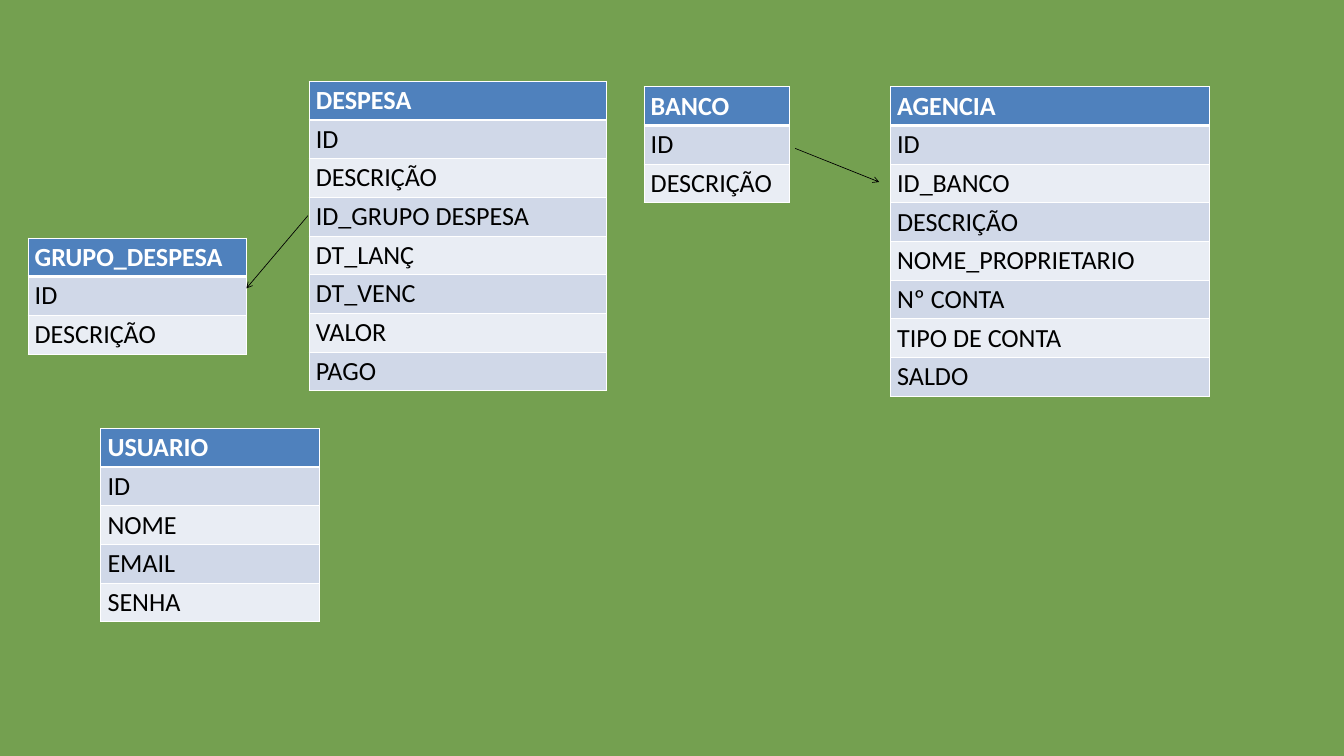
"""Draw the entity tables of an expense database and the links between them."""
from dataclasses import dataclass

import pptx
import pptx.dml.color
import pptx.enum.shapes
import pptx.oxml
import pptx.oxml.ns
import pptx.util

WIDE, HIGH = pptx.util.Inches(20), pptx.util.Inches(11.25)
COLS, ROWS = 240, 135
ROW = 6.8
INK = {"back": "74A050", "head": "4F81BD", "odd": "D0D8E8", "even": "E9EDF4",
       "edge": "FFFFFF", "text": "000000"}
FONT = {"name": "Calibri", "size": pptx.util.Pt(28)}


@dataclass(frozen=True)
class Entity:
    col: float
    row: float
    wide: float
    names: tuple[str, ...]


@dataclass(frozen=True)
class Link:
    start: tuple[float, float]
    end: tuple[float, float]


ITEMS = (
    Entity(115, 15.5, 26, ("BANCO", "ID", "DESCRIÇÃO")),
    Entity(55.2, 14.5, 53, ("DESPESA", "ID", "DESCRIÇÃO", "ID_GRUPO DESPESA",
                            "DT_LANÇ", "DT_VENC", "VALOR", "PAGO")),
    Entity(5, 42.5, 39, ("GRUPO_DESPESA", "ID", "DESCRIÇÃO")),
    Link((55, 38.5), (44, 51.5)),
    Entity(159, 15.5, 57, ("AGENCIA", "ID", "ID_BANCO", "DESCRIÇÃO",
                           "NOME_PROPRIETARIO", "Nº CONTA", "TIPO DE CONTA", "SALDO")),
    Link((142, 26.5), (157, 32.5)),
    Entity(18, 76.5, 39, ("USUARIO", "ID", "NOME", "EMAIL", "SENHA")),
)


def across(col: float) -> int:
    return round(WIDE * col / COLS)


def down(row: float) -> int:
    return round(HIGH * row / ROWS)


def tint(name: str) -> pptx.dml.color.RGBColor:
    return pptx.dml.color.RGBColor.from_string(INK[name])


def edge(cell, sides: dict[str, float]) -> None:
    props = cell._tc.get_or_add_tcPr()
    for spot, (side, width) in enumerate(sides.items()):
        props.insert(spot, pptx.oxml.parse_xml(
            f'<a:ln{side} {pptx.oxml.ns.nsdecls("a")} w="{pptx.util.Pt(width)}">'
            f'<a:solidFill><a:srgbClr val="{INK["edge"]}"/></a:solidFill></a:ln{side}>'))


def draw_cell(cell, text: str, index: int) -> None:
    head = index == 0
    fill = "head" if head else "odd" if index % 2 else "even"
    cell.fill.solid()
    cell.fill.fore_color.rgb = tint(fill)
    edge(cell, {"L": 1, "R": 1, "T": 3 if index == 1 else 1, "B": 3 if head else 1})
    run = cell.text_frame.paragraphs[0].add_run()
    run.text = text
    for key, value in (FONT | {"bold": head}).items():
        setattr(run.font, key, value)
    run.font.color.rgb = tint("edge" if head else "text")


def draw_table(slide, item: Entity) -> None:
    count = len(item.names)
    frame = slide.shapes.add_table(count, 1, across(item.col), down(item.row),
                                   across(item.wide), down(ROW * count))
    for index, text in enumerate(item.names):
        frame.table.rows[index].height = down(ROW)
        draw_cell(frame.table.cell(index, 0), text, index)


def draw_link(slide, item: Link) -> None:
    (left, top), (right, base) = item.start, item.end
    line = slide.shapes.add_connector(
        pptx.enum.shapes.MSO_CONNECTOR.STRAIGHT,
        across(left), down(top), across(right), down(base))
    line.line.width = pptx.util.Pt(0.75)
    line.line.color.rgb = tint("text")
    space = pptx.oxml.ns.nsdecls("a")
    line.line._get_or_add_ln().append(
        pptx.oxml.parse_xml(f'<a:tailEnd {space} type="arrow"/>'))
    line._element.spPr.append(pptx.oxml.parse_xml(f"<a:effectLst {space}/>"))


def main() -> None:
    deck = pptx.Presentation()
    deck.slide_width, deck.slide_height = WIDE, HIGH
    slide = deck.slides.add_slide(deck.slide_layouts[6])
    slide.background.fill.solid()
    slide.background.fill.fore_color.rgb = tint("back")
    for item in ITEMS:
        draw = draw_table if isinstance(item, Entity) else draw_link
        draw(slide, item)
    deck.save("out.pptx")


if __name__ == "__main__":
    main()
